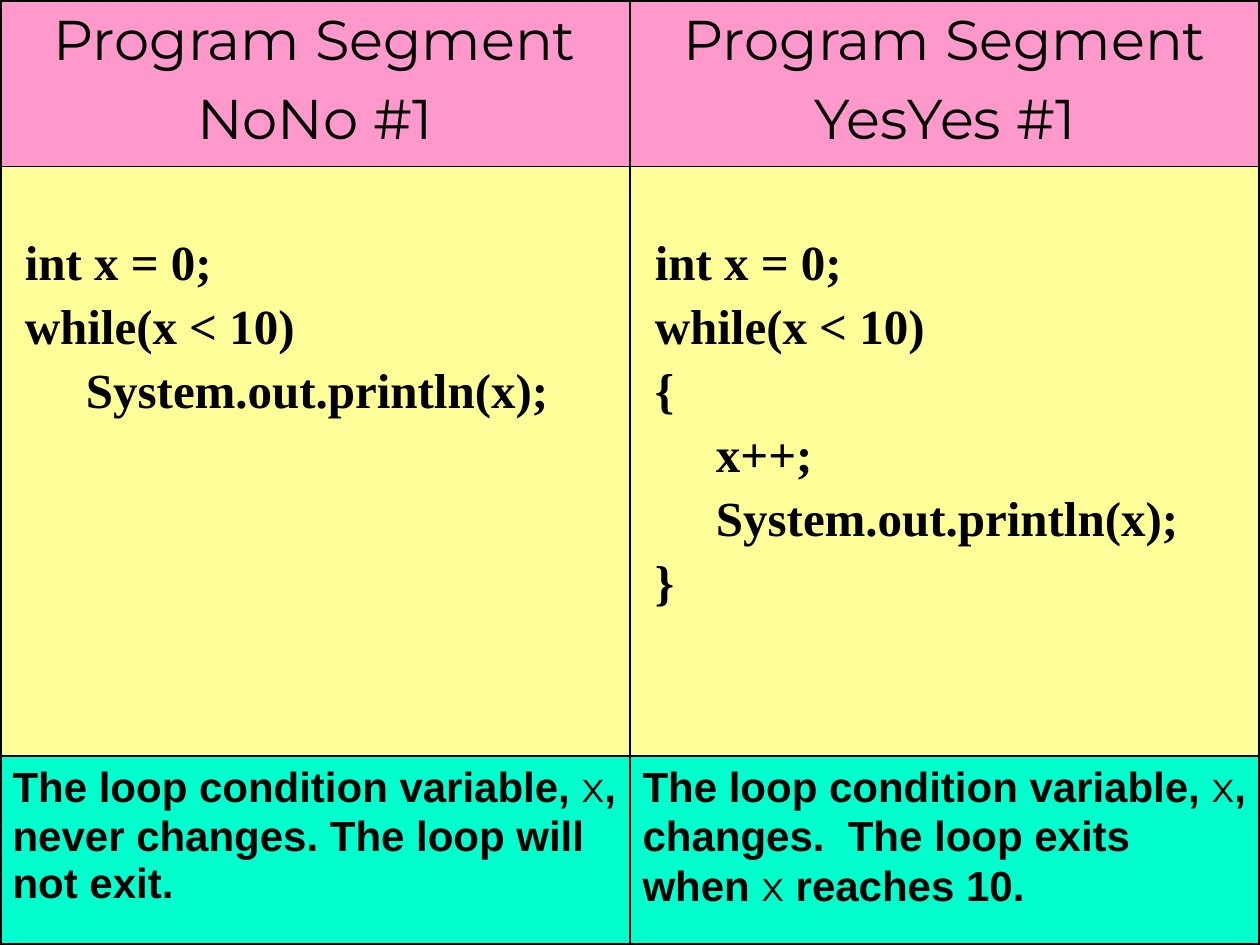
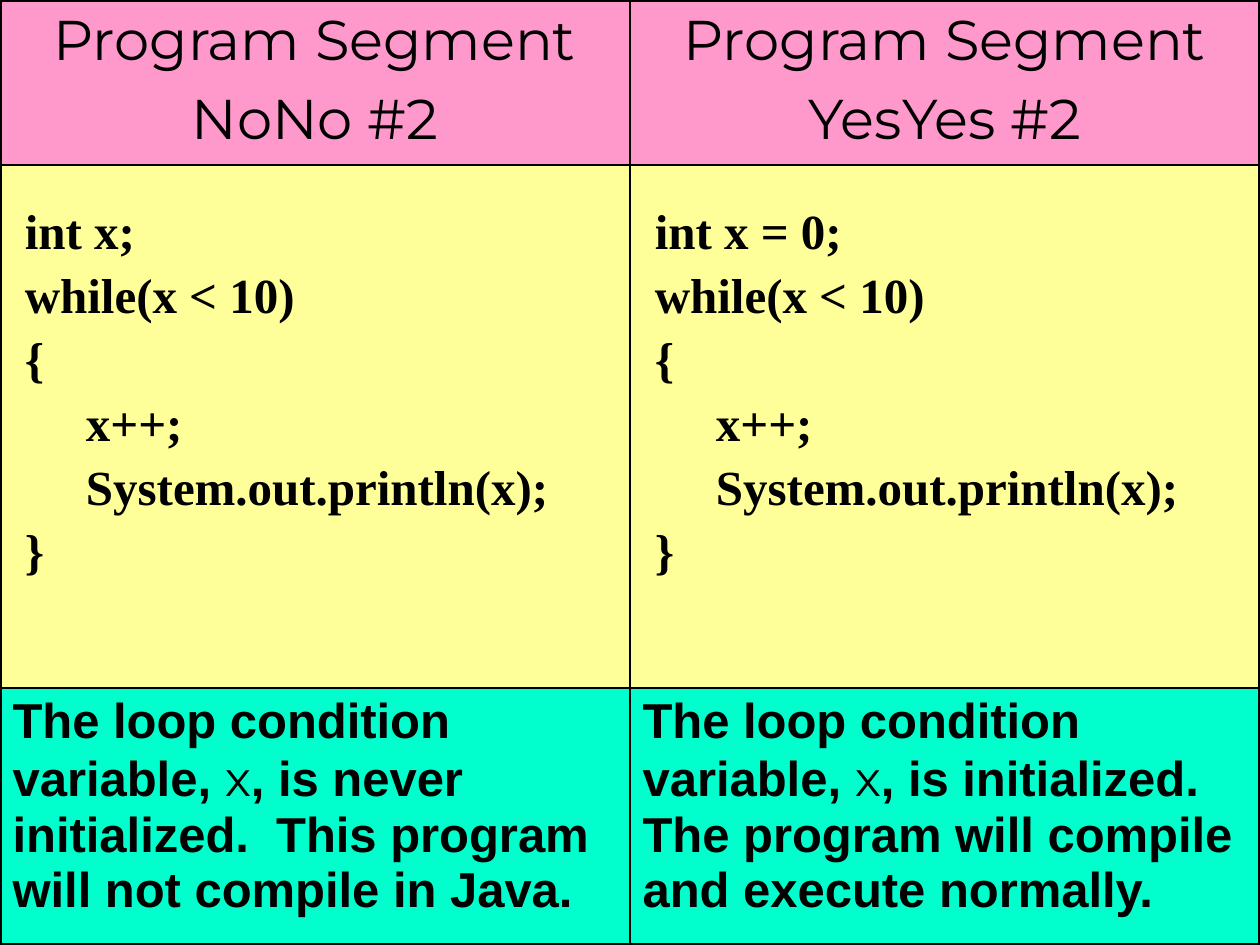
import pptx
import pptx.dml.color
import pptx.enum.text
import pptx.oxml.ns
import pptx.util
from lxml import etree

Inches = pptx.util.Inches
Pt = pptx.util.Pt
RGBColor = pptx.dml.color.RGBColor

PINK = RGBColor(0xFF, 0x99, 0xCC)
YELLOW = RGBColor(0xFF, 0xFF, 0x99)
AQUA = RGBColor(0x00, 0xFF, 0xCC)
BLACK = RGBColor(0x00, 0x00, 0x00)
ROW_FILLS = [PINK, YELLOW, AQUA]

HEADING_FONT = "Montserrat"
CODE_FONT = "Times New Roman"
NOTE_FONT = "Arial"
HEADING_SIZE = 32
CODE_SIZE = 28
OUTER_BORDER = 2.25
INNER_BORDER = 1

COUNTING_LOOP = [
    " while(x < 10)",
    " {",
    "      x++;",
    "      System.out.println(x);",
    " }",
]

COMPARISONS = [
    {
        "row_heights": [1.32, 4.68, 1.5],
        "code_top": 0.56,
        "note_size": 24,
        "columns": [
            (
                "NoNo #1",
                [" int x = 0;", " while(x < 10)", "      System.out.println(x);"],
                "The loop condition variable, |x|, never changes. The loop will not exit.",
            ),
            (
                "YesYes #1",
                [" int x = 0;"] + COUNTING_LOOP,
                "The loop condition variable, |x|, changes.  The loop exits when |x| reaches 10.",
            ),
        ],
    },
    {
        "row_heights": [1.31, 4.15, 2.04],
        "code_top": 0.32,
        "note_size": 28,
        "columns": [
            (
                "NoNo #2",
                [" int x;"] + COUNTING_LOOP,
                "The loop condition variable, |x|, is never initialized.  "
                "This program will not compile in Java.",
            ),
            (
                "YesYes #2",
                [" int x = 0;"] + COUNTING_LOOP,
                "The loop condition variable, |x|, is initialized.  "
                "The program will compile and execute normally.",
            ),
        ],
    },
]


def add_border(cell, side, width):
    properties = cell._tc.get_or_add_tcPr()
    line = etree.SubElement(properties, pptx.oxml.ns.qn(f"a:ln{side}"), w=str(Pt(width)))
    fill = etree.SubElement(line, pptx.oxml.ns.qn("a:solidFill"))
    etree.SubElement(fill, pptx.oxml.ns.qn("a:srgbClr"), val=str(BLACK))


def write_lines(cell, lines, font_name, size, bold, alignment):
    cell.text_frame.text = "\n".join(lines)
    for index, paragraph in enumerate(cell.text_frame.paragraphs):
        paragraph.alignment = alignment
        paragraph.space_before = Pt(0.2 * size if index else 0)
        for run in paragraph.runs:
            run.font.name = font_name
            run.font.size = Pt(size)
            run.font.bold = bold
            run.font.color.rgb = BLACK


presentation = pptx.Presentation()
presentation.slide_width = Inches(10)
presentation.slide_height = Inches(7.5)
left_aligned = pptx.enum.text.PP_ALIGN.LEFT
centered = pptx.enum.text.PP_ALIGN.CENTER

for comparison in COMPARISONS:
    slide = presentation.slides.add_slide(presentation.slide_layouts[6])
    table = slide.shapes.add_table(3, 2, 0, 0, Inches(10), Inches(7.5)).table
    table.first_row = False
    table.horz_banding = False

    for row, height in zip(table.rows, comparison["row_heights"]):
        row.height = Inches(height)

    for row_index, fill_color in enumerate(ROW_FILLS):
        for column_index in range(2):
            cell = table.cell(row_index, column_index)
            outer_sides = {
                "L": column_index == 0,
                "R": column_index == 1,
                "T": row_index == 0,
                "B": row_index == 2,
            }
            for side, is_outer in outer_sides.items():
                add_border(cell, side, OUTER_BORDER if is_outer else INNER_BORDER)
            cell.fill.solid()
            cell.fill.fore_color.rgb = fill_color

    for column_index, (label, code_lines, note) in enumerate(comparison["columns"]):
        heading_cell, code_cell, note_cell = (
            table.cell(row_index, column_index) for row_index in range(3)
        )
        write_lines(heading_cell, ["Program Segment", label],
                    HEADING_FONT, HEADING_SIZE, False, centered)

        code_cell.margin_top = Inches(comparison["code_top"])
        write_lines(code_cell, code_lines, CODE_FONT, CODE_SIZE, True, left_aligned)

        note_parts = note.split("|")
        write_lines(note_cell, note_parts[:1], NOTE_FONT,
                    comparison["note_size"], True, left_aligned)
        note_paragraph = note_cell.text_frame.paragraphs[0]
        for part_index, part in enumerate(note_parts[1:], 1):
            is_variable = part_index % 2 == 1
            run = note_paragraph.add_run()
            run.text = part
            run.font.name = HEADING_FONT if is_variable else NOTE_FONT
            run.font.size = Pt(comparison["note_size"])
            run.font.bold = not is_variable
            run.font.color.rgb = BLACK

presentation.save("out.pptx")
